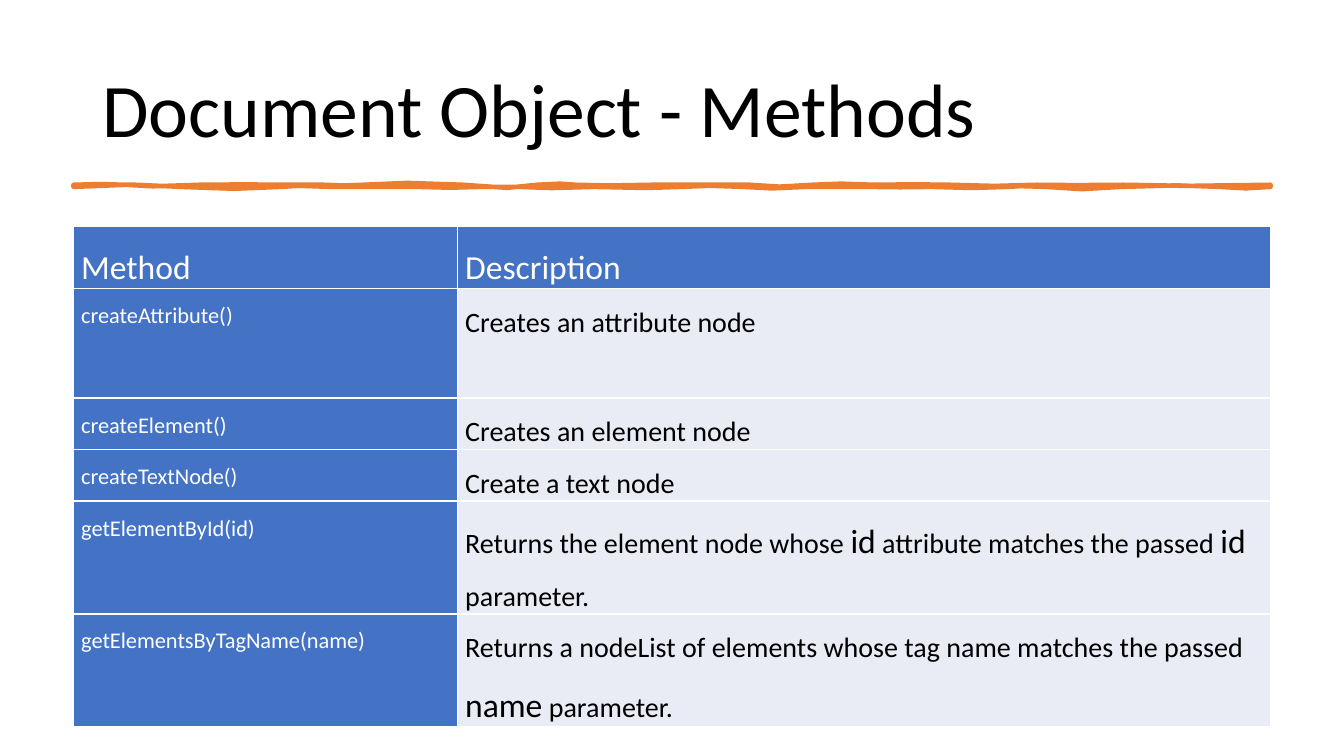
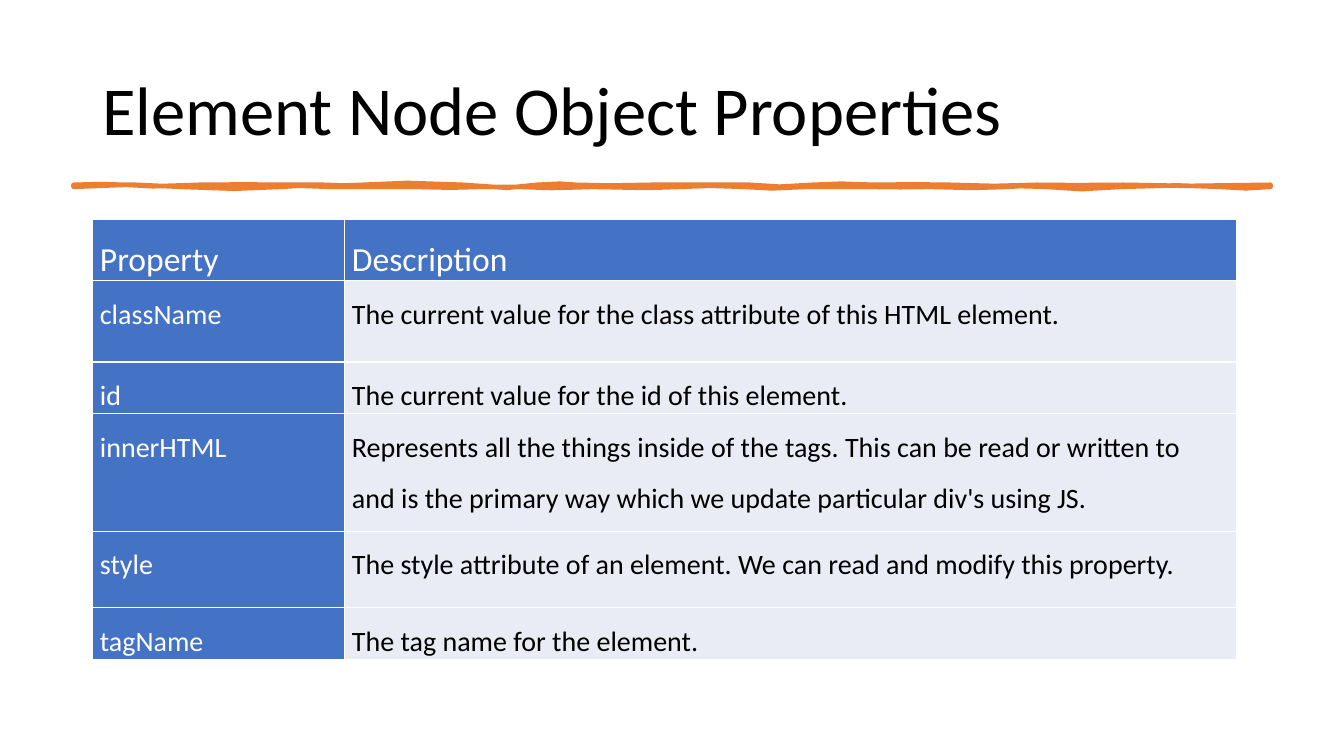
from lxml.etree import SubElement
from pptx import Presentation
from pptx.dml.color import RGBColor
from pptx.enum.text import MSO_ANCHOR, MSO_AUTO_SIZE, PP_ALIGN
from pptx.oxml.ns import qn
from pptx.util import Pt

FONT = "Calibri"
BLACK, WHITE = "000000", "FFFFFF"
BLUE, PALE, ORANGE = "4472C4", "E9EBF5", "ED7D31"
TITLE_BOX = (66, 29, 828, 104)
RULE_LEFT, RULE_TOP, RULE_BOTTOM = 52.5, 132, 133.5
CURVE_STEPS = 2

# Each wave: first control x, y, second control x, y, end x.
# Points, with x from the left end of the rule and y from its edge.
UPPER_WAVES = [
    (12, -1.4, 27, 0, 37), (45, 0.7, 64, 2.2, 90),
    (116, -1.4, 128, 0.7, 152), (176, 0, 168, 0, 179),
    (191, 0.7, 194, 0.7, 207), (221, -0.7, 253, -2.9, 278),
    (303, 3.6, 320, 2.2, 331), (343, -1.4, 353, -0.7, 359),
    (366, 1.4, 397, 0, 413), (428, 0.7, 468, -0.7, 483),
    (498, 1.4, 510, 2.2, 528), (545, -1.4, 551, -0.7, 572),
    (595, 1.4, 606, -2.2, 626), (647, 2.9, 669, -0.7, 688),
    (707, 1.4, 724, -0.7, 750), (776, 1.4, 811, 0.7, 855),
]
LOWER_WAVES = [
    (842, 1.4, 833, 1.4, 819), (804, -0.7, 775, -2.2, 748),
    (721, 2.9, 718, 1.4, 695), (671, -0.7, 680, -0.7, 667),
    (653, 1.4, 630, 0.7, 613), (597, 0, 584, 0.7, 569),
    (553, 0, 544, 0, 523), (504, 0.7, 492, 2.2, 479),
    (465, -1.4, 443, -0.7, 434), (425, 1.4, 397, 0.7, 372),
    (347, 0, 334, 2.2, 318), (303, -1.4, 301, 1.4, 291),
    (281, -0.7, 257, 2.2, 246), (235, -1.4, 215, 1.4, 184),
    (153, -1.4, 166, -0.7, 148), (130, 1.4, 101, 2.2, 77),
    (53, -2.2, 32, -2.2, 0),
]

# A description given as a list alternates normal and enlarged wording.
METHODS = [
    ("Method", "Description"),
    ("createAttribute()", "Creates an attribute node"),
    ("createElement()", "Creates an element node"),
    ("createTextNode()", "Create a text node"),
    ("getElementById(id)",
     ["Returns the element node whose ", "id",
      " attribute matches the passed ", "id", " parameter."]),
    ("getElementsByTagName(name)",
     ["Returns a nodeList of elements whose tag name matches the passed ",
      "name", " parameter."]),
]
PROPERTIES = [
    ("Property", "Description"),
    ("className",
     "The current value for the class attribute of this HTML element."),
    ("id", "The current value for the id of this element."),
    ("innerHTML",
     "Represents all the things inside of the tags. This can be read or "
     "written to and is the primary way which we update particular div's "
     "using JS."),
    ("style",
     "The style attribute of an element. We can read and modify this "
     "property."),
    ("tagName", "The tag name for the element."),
]


def rgb(color):
    return RGBColor.from_string(color)


def style_run(run, size, color):
    run.font.name = FONT
    run.font.size = Pt(size)
    run.font.bold = False
    run.font.color.rgb = rgb(color)


def add_title(slide, wording, size, box):
    title = slide.shapes.title
    title.left, title.top, title.width, title.height = map(Pt, box)
    frame = title.text_frame
    frame.text = wording
    frame.word_wrap = True
    frame.auto_size = MSO_AUTO_SIZE.NONE
    frame.vertical_anchor = MSO_ANCHOR.MIDDLE
    paragraph = frame.paragraphs[0]
    paragraph.alignment = PP_ALIGN.LEFT
    paragraph.line_spacing = 0.9
    style_run(paragraph.runs[0], size, BLACK)


def trace_edge(start_x, waves, left, edge_y):
    """Return points along the cubic waves of one edge of the rule."""
    points = [(Pt(left + start_x), Pt(edge_y))]
    for x1, y1, x2, y2, end_x in waves:
        for step in range(1, CURVE_STEPS + 1):
            t = step / CURVE_STEPS
            u = 1 - t
            x = u**3 * start_x + 3 * u * t * (u * x1 + t * x2) + t**3 * end_x
            y = 3 * u * t * (u * y1 + t * y2)
            points.append((Pt(left + x), Pt(edge_y + y)))
        start_x = end_x
    return points


def add_brush_rule(slide, left, top, bottom):
    outline = (trace_edge(0, UPPER_WAVES, left, top)
               + trace_edge(UPPER_WAVES[-1][-1], LOWER_WAVES, left, bottom))
    builder = slide.shapes.build_freeform(*outline[0])
    builder.add_line_segments(outline[1:], close=True)
    rule = builder.convert_to_shape()
    rule.shadow.inherit = False
    rule.fill.solid()
    rule.fill.fore_color.rgb = rgb(ORANGE)
    rule.line.color.rgb = rgb(ORANGE)
    rule.line.width = Pt(3.25)


def add_borders(cell):
    properties = cell._tc.get_or_add_tcPr()
    for side in ("lnL", "lnR", "lnT", "lnB"):
        line = SubElement(properties, qn(f"a:{side}"), w=str(Pt(1)))
        fill = SubElement(line, qn("a:solidFill"))
        SubElement(fill, qn("a:srgbClr"), val=WHITE)


def fill_cell(cell, wording, size, color, background, before, after):
    cell.margin_left = cell.margin_right = Pt(5.4)
    cell.margin_top = cell.margin_bottom = 0
    add_borders(cell)
    cell.fill.solid()
    cell.fill.fore_color.rgb = rgb(background)
    paragraph = cell.text_frame.paragraphs[0]
    paragraph.line_spacing = 1.5
    paragraph.space_before = Pt(before)
    paragraph.space_after = Pt(after)
    parts = [wording] if isinstance(wording, str) else wording
    for index, part in enumerate(parts):
        run = paragraph.add_run()
        run.text = part
        style_run(run, size + 4 * (index % 2), color)


def add_reference_table(slide, entries, left, top, widths, heights, name_size):
    table = slide.shapes.add_table(
        len(entries), len(widths), Pt(left), Pt(top),
        Pt(sum(widths)), Pt(sum(heights))).table
    table.first_row = table.horz_banding = False
    for column, width in zip(table.columns, widths):
        column.width = Pt(width)
    for index, (row, height, entry) in enumerate(
            zip(table.rows, heights, entries)):
        row.height = Pt(height)
        name_cell, description_cell = row.cells
        name, description = entry
        if index == 0:
            fill_cell(name_cell, name, 24, WHITE, BLUE, 0, 14)
            fill_cell(description_cell, description, 24, WHITE, BLUE, 0, 14)
        else:
            fill_cell(name_cell, name, name_size, WHITE, BLUE, 7, 0)
            fill_cell(description_cell, description, 20, BLACK, PALE, 7, 7)


def add_reference_slide(deck, title, title_size, **table):
    slide = deck.slides.add_slide(deck.slide_layouts[5])
    add_title(slide, title, title_size, TITLE_BOX)
    add_brush_rule(slide, RULE_LEFT, RULE_TOP, RULE_BOTTOM)
    add_reference_table(slide, **table)


def main():
    deck = Presentation()
    deck.slide_width, deck.slide_height = Pt(960), Pt(540)
    add_reference_slide(
        deck, "Document Object - Methods", 54, entries=METHODS,
        left=52.6, top=162, widths=(274.3, 580.5),
        heights=(33, 78.4, 30, 30, 68, 63), name_size=16)
    add_reference_slide(
        deck, "Element Node Object Properties", 49, entries=PROPERTIES,
        left=66, top=156.4, widths=(180, 637),
        heights=(35, 58.3, 32.4, 84, 54.7, 32.4), name_size=20)
    deck.save("out.pptx")


if __name__ == "__main__":
    main()
